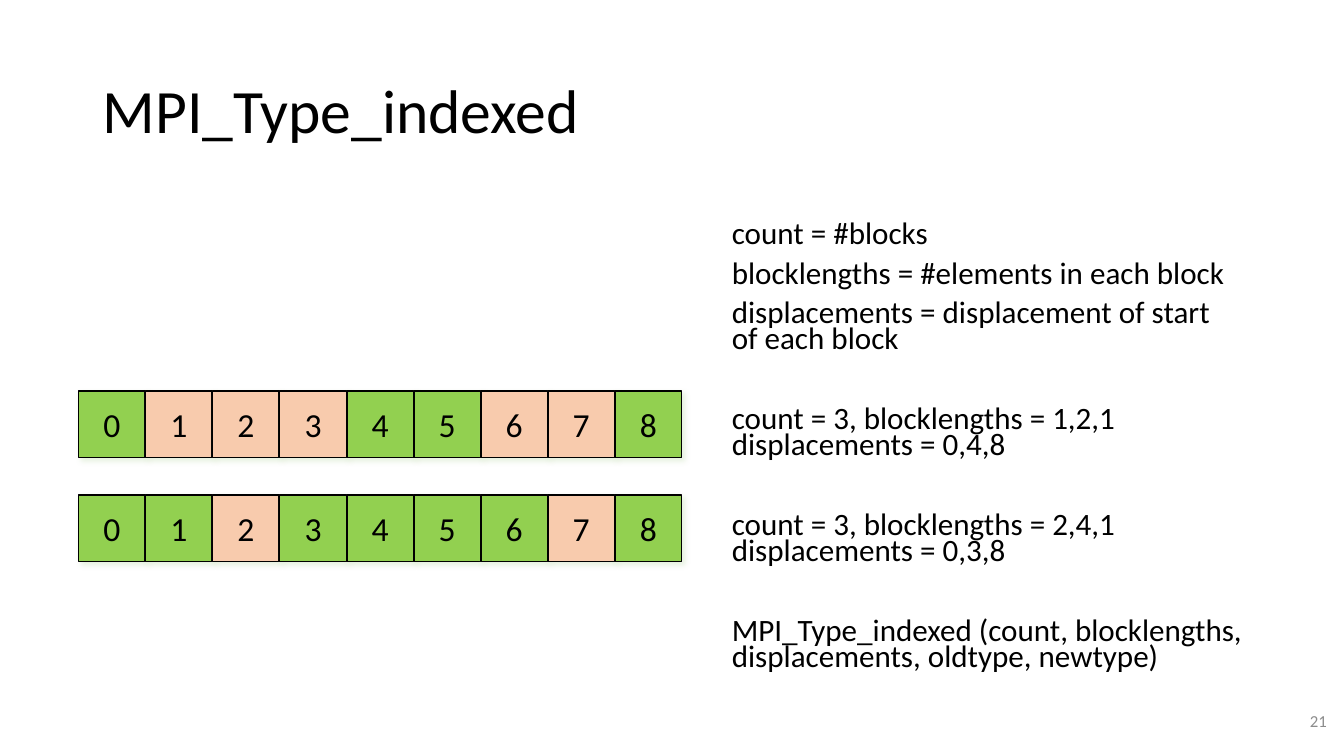
"""Build the MPI_Type_indexed slide with two block layouts and their parameters."""
from dataclasses import dataclass
from typing import Any

import lxml.etree
import pptx
import pptx.dml.color
import pptx.enum.shapes
import pptx.enum.text
import pptx.oxml.ns
import pptx.shapes.autoshape
import pptx.slide
import pptx.util

Inches = pptx.util.Inches
Pt = pptx.util.Pt
Align = pptx.enum.text.PP_ALIGN
Anchor = pptx.enum.text.MSO_ANCHOR


@dataclass(frozen=True)
class Theme:
    font: str = "Calibri"
    ink: str = "000000"
    muted: str = "8C8C8C"
    selected: str = "92D050"
    skipped: str = "F8CBAD"
    shadow: str = "C5E0B4"
    title_size: float = 44
    cell_size: float = 24
    body_size: float = 22.2
    number_size: float = 12


@dataclass(frozen=True)
class Line:
    text: str
    space_before: float = 0


@dataclass(frozen=True)
class Label:
    left: float
    top: float
    width: float
    height: float
    lines: tuple[Line, ...]
    size: float
    color: str
    anchor: Anchor = Anchor.MIDDLE
    align: Align = Align.LEFT
    spacing: float = 1.0


@dataclass(frozen=True)
class IndexedArray:
    top: float
    blocklengths: tuple[int, ...]
    displacements: tuple[int, ...]

    def selected(self) -> set[int]:
        """Return the element indices covered by the blocks."""
        return {
            start + offset
            for start, length in zip(self.displacements, self.blocklengths)
            for offset in range(length)
        }


THEME = Theme()
ELEMENTS = 9
CELL = 0.66
FIRST_LEFT, LAST_LEFT = 0.78, 6.1
NEXT, NEW_GROUP = 9.6, 38.3

ARRAYS = (
    IndexedArray(3.88, (1, 2, 1), (0, 4, 8)),
    IndexedArray(4.91, (2, 4, 1), (0, 3, 8)),
)

LABELS = (
    Label(0.92, 0.4, 11.5, 1.45, (Line("MPI_Type_indexed"),),
          THEME.title_size, THEME.ink, spacing=0.9),
    Label(7.16, 2.17, 5.26, 4.85, (
        Line("count = #blocks"),
        Line("blocklengths = #elements in each block", NEXT),
        Line("displacements = displacement of start of each block", NEXT),
        Line("count = 3, blocklengths = 1,2,1 displacements = 0,4,8", NEW_GROUP),
        Line("count = 3, blocklengths = 2,4,1 displacements = 0,3,8", NEW_GROUP),
        Line("MPI_Type_indexed (count, blocklengths, displacements, oldtype, newtype)",
             NEW_GROUP),
    ), THEME.body_size, THEME.ink, anchor=Anchor.TOP, spacing=0.7),
    Label(10.26, 6.95, 3, 0.4, (Line("21"),),
          THEME.number_size, THEME.muted, align=Align.RIGHT),
)


def apply_format(target: Any, values: dict[str, Any]) -> None:
    """Set each named attribute on the target."""
    for name, value in values.items():
        setattr(target, name, value)


def rgb(color: str) -> pptx.dml.color.RGBColor:
    """Convert a hex string to a colour."""
    return pptx.dml.color.RGBColor.from_string(color)


def format_font(font: Any, size: float, color: str) -> None:
    """Give a font the theme face, a size and a colour."""
    apply_format(font, {"name": THEME.font, "size": Pt(size)})
    font.color.rgb = rgb(color)


def add_label(slide: pptx.slide.Slide, label: Label) -> None:
    """Draw a wrapped text box with one paragraph per line."""
    box = slide.shapes.add_textbox(
        Inches(label.left), Inches(label.top), Inches(label.width), Inches(label.height))
    frame = box.text_frame
    apply_format(frame, {"word_wrap": True, "vertical_anchor": label.anchor,
                         "text": "\n".join(line.text for line in label.lines)})
    for paragraph, line in zip(frame.paragraphs, label.lines):
        apply_format(paragraph, {"alignment": label.align, "line_spacing": label.spacing,
                                 "space_before": Pt(line.space_before)})
        format_font(paragraph.font, label.size, label.color)


def add_shadow(cell: pptx.shapes.autoshape.Shape) -> None:
    """Give a cell a soft pale green shadow."""
    qn = pptx.oxml.ns.qn
    cell.shadow.inherit = False
    effects = cell._element.spPr.find(qn("a:effectLst"))
    shadow = lxml.etree.SubElement(
        effects, qn("a:outerShdw"), blurRad=str(Pt(4)), dist=str(Pt(3)),
        dir=str(45 * 60000), algn="tl", rotWithShape="0")
    tint = lxml.etree.SubElement(shadow, qn("a:srgbClr"), val=THEME.shadow)
    lxml.etree.SubElement(tint, qn("a:alpha"), val="40000")


def add_cell(slide: pptx.slide.Slide, index: int, top: float, color: str) -> None:
    """Draw one numbered array element."""
    left = FIRST_LEFT + index * (LAST_LEFT - FIRST_LEFT) / (ELEMENTS - 1)
    cell = slide.shapes.add_shape(
        pptx.enum.shapes.MSO_SHAPE.RECTANGLE,
        Inches(left), Inches(top), Inches(CELL), Inches(CELL))
    cell.fill.solid()
    cell.fill.fore_color.rgb = rgb(color)
    cell.line.color.rgb = rgb(THEME.ink)
    cell.line.width = Pt(1)
    add_shadow(cell)
    apply_format(cell.text_frame, {"text": str(index), "word_wrap": False,
                                   "vertical_anchor": Anchor.MIDDLE})
    number = cell.text_frame.paragraphs[0]
    number.alignment = Align.CENTER
    format_font(number.font, THEME.cell_size, THEME.ink)


def add_array(slide: pptx.slide.Slide, array: IndexedArray) -> None:
    """Draw a row of elements with the selected blocks coloured."""
    selected = array.selected()
    for index in range(ELEMENTS):
        color = THEME.selected if index in selected else THEME.skipped
        add_cell(slide, index, array.top, color)


def main() -> None:
    """Build and save the presentation."""
    deck = pptx.Presentation()
    apply_format(deck, {"slide_width": Inches(13.33), "slide_height": Inches(7.5)})
    slide = deck.slides.add_slide(deck.slide_layouts[6])
    for array in ARRAYS:
        add_array(slide, array)
    for label in LABELS:
        add_label(slide, label)
    deck.save("out.pptx")


if __name__ == "__main__":
    main()
